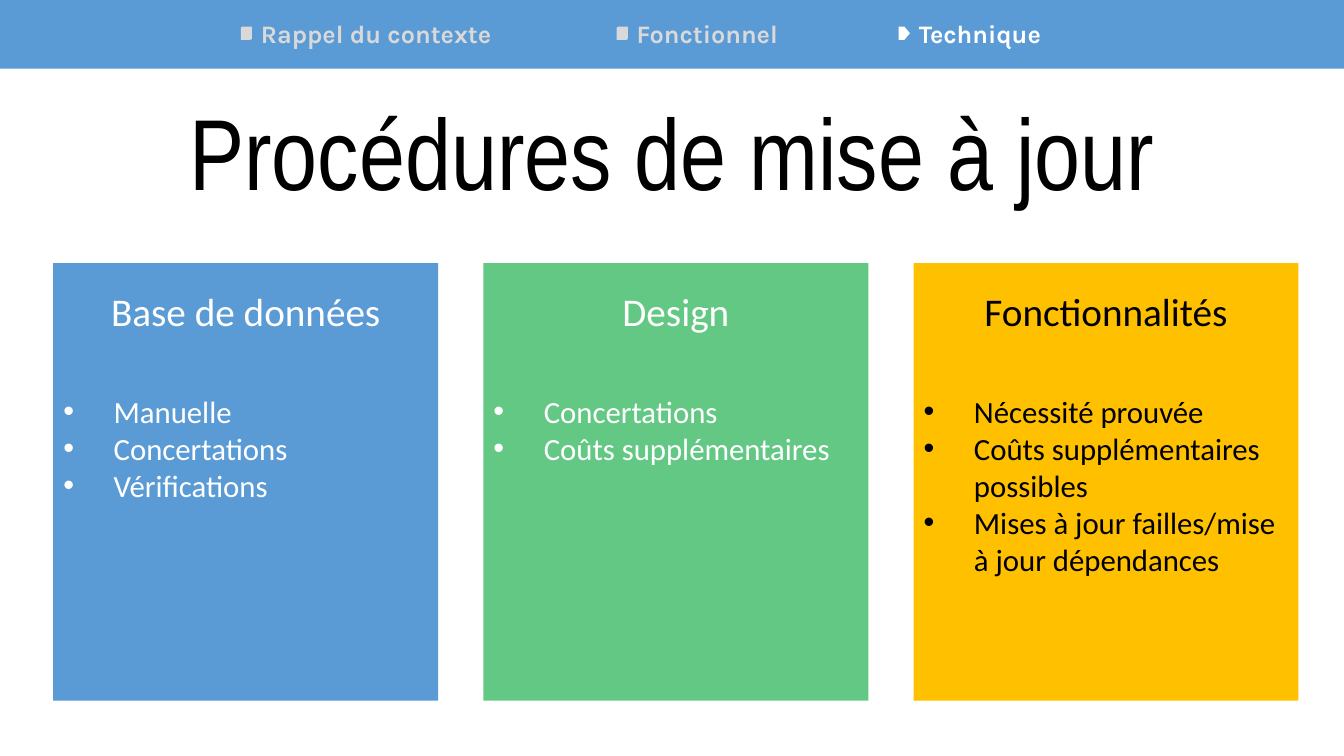
from pptx import Presentation
from pptx.dml.color import RGBColor
from pptx.enum.shapes import MSO_SHAPE
from pptx.enum.text import MSO_ANCHOR, MSO_AUTO_SIZE, PP_ALIGN
from pptx.oxml.ns import qn
from pptx.util import Pt

RECTANGLE = MSO_SHAPE.RECTANGLE
PENTAGON = MSO_SHAPE.PENTAGON
ROUNDED = MSO_SHAPE.ROUND_2_DIAG_RECTANGLE
TOP = MSO_ANCHOR.TOP
NO_FIT = MSO_AUTO_SIZE.NONE
LEFT, CENTER = PP_ALIGN.LEFT, PP_ALIGN.CENTER

BLUE = RGBColor(0x5B, 0x9B, 0xD5)
GREEN = RGBColor(0x64, 0xC8, 0x85)
AMBER = RGBColor(0xFF, 0xC0, 0x00)
GRAY = RGBColor(0xD9, 0xD9, 0xD9)
WHITE = RGBColor(0xFF, 0xFF, 0xFF)
BLACK = RGBColor(0x00, 0x00, 0x00)

SLIDE_WIDTH, SLIDE_HEIGHT = 960, 540
INDENT = 36

# Section name, marker shape, colour, marker left, label width
SECTIONS = [
    ("Rappel du contexte", ROUNDED, GRAY, 172, 215),
    ("Fonctionnel", ROUNDED, GRAY, 440.5, 140),
    ("Technique", PENTAGON, WHITE, 642, 132),
]

# Heading, fill, text colour, list items
CARDS = [
    ("Base de données", BLUE, WHITE,
     ["Manuelle", "Concertations", "Vérifications"]),
    ("Design", GREEN, WHITE,
     ["Concertations", "Coûts supplémentaires"]),
    ("Fonctionnalités", AMBER, BLACK,
     ["Nécessité prouvée", "Coûts supplémentaires possibles",
      "Mises à jour failles/mise à jour dépendances"]),
]


def place(shape, left, top, width, height):
    shape.left, shape.top = Pt(left), Pt(top)
    shape.width, shape.height = Pt(width), Pt(height)


def add_block(slide, kind, color, left, top, width, height):
    shape = slide.shapes.add_shape(kind, Pt(left), Pt(top), Pt(width), Pt(height))
    shape.shadow.inherit = False
    shape.fill.solid()
    shape.fill.fore_color.rgb = color
    shape.line.fill.background()


def add_label(slide, left, top, width, height):
    return slide.shapes.add_textbox(Pt(left), Pt(top), Pt(width), Pt(height))


def add_bullet(paragraph):
    properties = paragraph._p.get_or_add_pPr()
    properties.set("marL", str(Pt(INDENT)))
    properties.set("indent", str(-Pt(INDENT)))
    font = properties.makeelement(qn("a:buFont"), {"typeface": "Arial"})
    character = properties.makeelement(qn("a:buChar"), {"char": "•"})
    properties.extend([font, character])


def write(shape, lines, name, size, color, alignment=LEFT, bold=False, bullets=False):
    frame = shape.text_frame
    frame.word_wrap = True
    frame.auto_size = NO_FIT
    frame.vertical_anchor = TOP
    frame.text = "\n".join(lines)
    for paragraph in frame.paragraphs:
        paragraph.alignment = alignment
        paragraph.space_before = Pt(0)
        if bullets:
            add_bullet(paragraph)
        font = paragraph.font
        font.name, font.size, font.bold = name, Pt(size), bold
        font.color.rgb = color


def build_navigation(slide, left, top, width, height):
    add_block(slide, RECTANGLE, BLUE, left, top, width, height)
    for name, marker, color, offset, label_width in SECTIONS:
        add_block(slide, marker, color, left + offset, top + 19, 8, 9.5)
        label = add_label(slide, left + offset + 7.2, top + 9.5, label_width, 29)
        write(label, [name], "Karla", 18, color, bold=True)


def build_title(slide, left, top, width, height):
    title = slide.shapes.title
    place(title, left, top, width, height)
    write(title, ["Procédures de mise à jour"], "Arial Narrow", 72, BLACK, CENTER)


def build_card(slide, body, card, left, top, width, height):
    heading, fill, color, items = card
    add_block(slide, RECTANGLE, fill, left, top, width, height)
    label = add_label(slide, left, top + 13.5, width, 41)
    write(label, [heading], "Calibri", 28, color, CENTER)
    # The list sits in front of its card
    slide.shapes._spTree.append(body._element)
    place(body, left, top + 89, width, height - 89)
    write(body, items, "Calibri", 22, color, bullets=True)


def build_cards(slide, left, top, width, height, gap):
    bodies = [shape for shape in slide.placeholders
              if shape.placeholder_format.idx > 0]
    card_width = (width - gap * (len(CARDS) - 1)) / len(CARDS)
    for index, (body, card) in enumerate(zip(bodies, CARDS)):
        card_left = left + index * (card_width + gap)
        build_card(slide, body, card, card_left, top, card_width, height)
    # Remove the unused body placeholder
    for body in bodies[len(CARDS):]:
        slide.shapes._spTree.remove(body._element)


def main():
    presentation = Presentation()
    presentation.slide_width = Pt(SLIDE_WIDTH)
    presentation.slide_height = Pt(SLIDE_HEIGHT)
    slide = presentation.slides.add_slide(
        presentation.slide_layouts.get_by_name("Comparison"))
    build_navigation(slide, 0, 0, SLIDE_WIDTH, 49)
    build_title(slide, 124.5, 60.5, 711, 94.5)
    build_cards(slide, 38, 188, 889.5, 312.5, 32.25)
    presentation.save("out.pptx")


if __name__ == "__main__":
    main()
